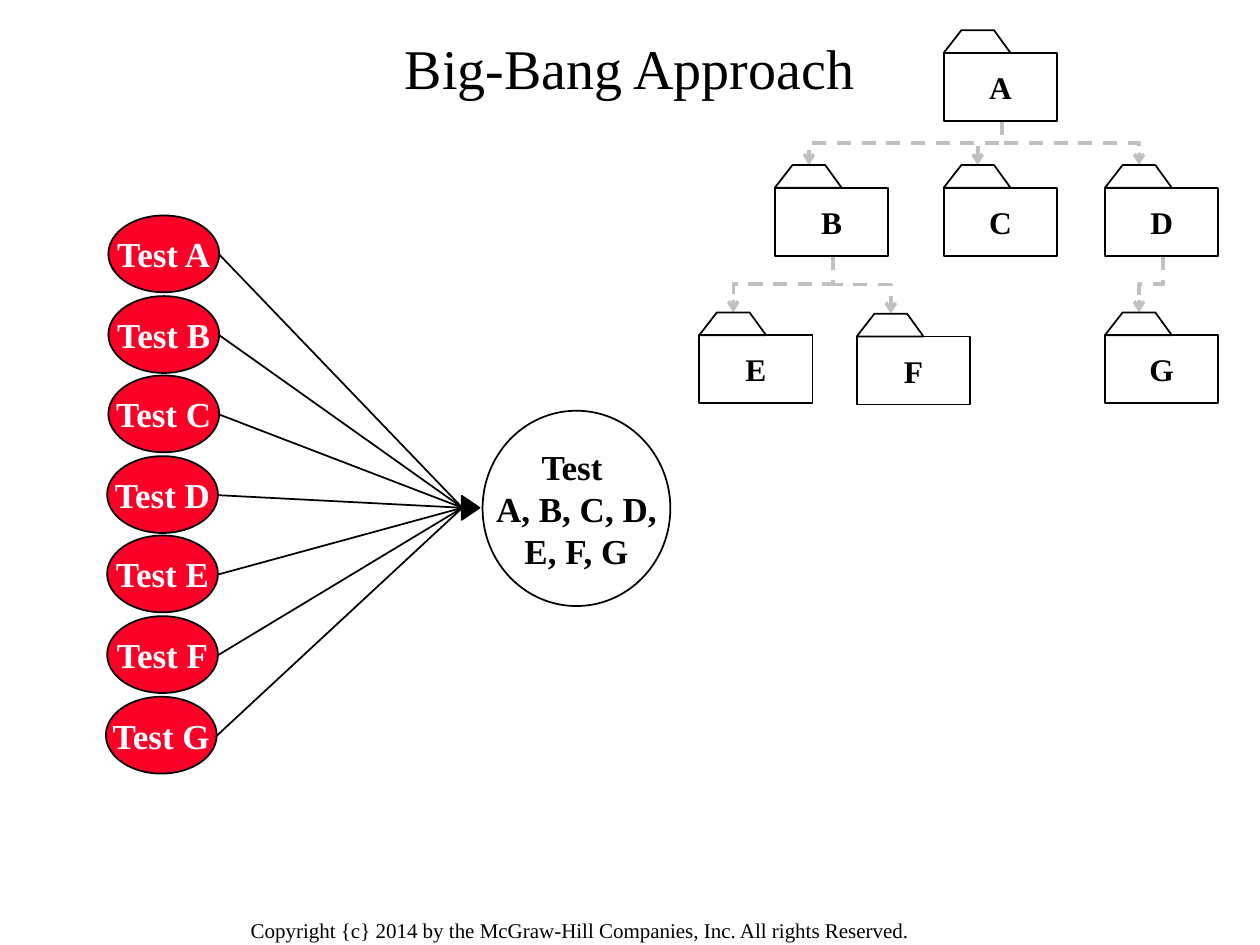
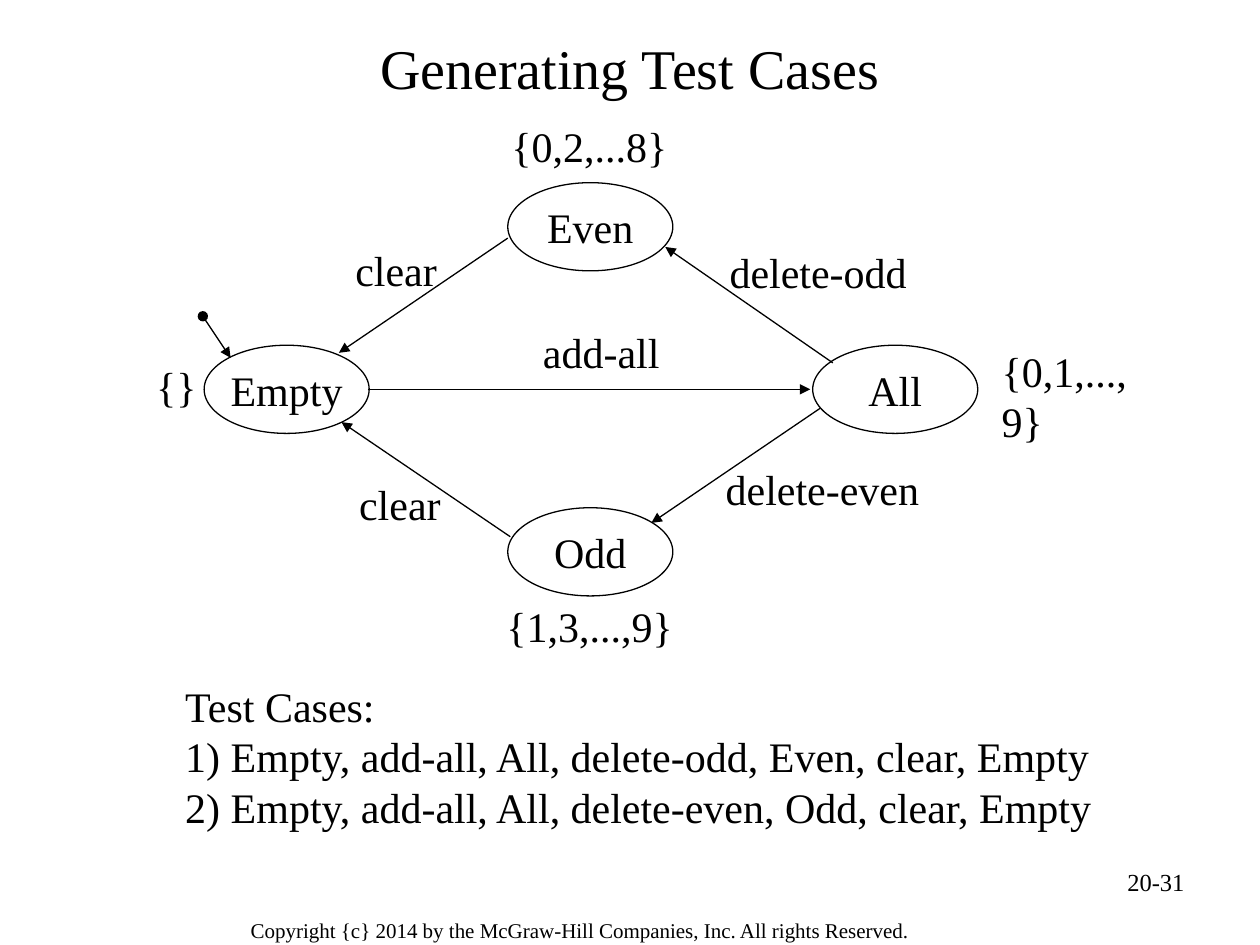
from lxml.etree import SubElement
from pptx import Presentation
from pptx.dml.color import RGBColor
from pptx.enum.dml import MSO_LINE
from pptx.enum.shapes import MSO_CONNECTOR as Link, MSO_SHAPE as Shape
from pptx.enum.text import MSO_ANCHOR as Anchor, PP_ALIGN as Align
from pptx.oxml.ns import qn
from pptx.util import Emu, Pt

PX = 9144
FONT = "Times New Roman"
BLACK = RGBColor(0x00, 0x00, 0x00)
WHITE = RGBColor(0xFF, 0xFF, 0xFF)
RED = RGBColor(0xFC, 0x01, 0x28)
SILVER = RGBColor(0xC0, 0xC0, 0xC0)
COPYRIGHT = "Copyright {c} 2014 by the McGraw-Hill Companies, Inc. All rights Reserved."


def px(*lengths):
    return [Emu(round(length * PX)) for length in lengths]


class Board:
    def __init__(self, deck):
        self.deck = deck
        self.page = None

    def new_page(self, title):
        self.page = self.deck.slides.add_slide(self.deck.slide_layouts[6])
        self.text(COPYRIGHT, 188, 722, 619, 31, size=12, inset=(11, 6))
        self.text(title, 50, 14, 900, 78, size=32, align=Align.CENTER,
                  anchor=Anchor.MIDDLE, inset=(10, 5))

    def fill_text(self, box, text, size, color=BLACK, bold=False, align=Align.LEFT,
                  anchor=Anchor.TOP, inset=(0, 0), wrap=False):
        frame = box.text_frame
        frame.text = text
        frame.word_wrap = wrap
        frame.vertical_anchor = anchor
        frame.margin_left, frame.margin_top = px(*inset)
        frame.margin_right, frame.margin_bottom = px(*inset)
        for para in frame.paragraphs:
            para.alignment = align
            for span in para.runs:
                span.font.name = FONT
                span.font.size = Pt(size)
                span.font.bold = bold
                span.font.color.rgb = color

    def text(self, text, left, top, width, height, size=24, **style):
        box = self.page.shapes.add_textbox(*px(left, top, width, height))
        self.fill_text(box, text, size, wrap="inset" in style, **style)

    def paint(self, shape, fill, weight):
        shape.shadow.inherit = False
        if fill is None:
            shape.fill.background()
        else:
            shape.fill.solid()
            shape.fill.fore_color.rgb = fill
        shape.line.color.rgb = BLACK
        shape.line.width = Pt(weight)

    def shape(self, kind, left, top, width, height, text="", fill=None, weight=1,
              size=20, color=BLACK, bold=True):
        shape = self.page.shapes.add_shape(kind, *px(left, top, width, height))
        self.paint(shape, fill, weight)
        if text:
            self.fill_text(shape, text, size, color, bold, Align.CENTER,
                           Anchor.MIDDLE, (10, 5))
        return shape

    def folder(self, name, left, top):
        self.shape(Shape.RECTANGLE, left, top, 90, 54, name, size=18)
        outline = self.page.shapes.build_freeform(left, top, scale=PX)
        outline.add_line_segments(
            [(left + 14, top - 18), (left + 40, top - 18), (left + 53, top)])
        self.paint(outline.convert_to_shape(), None, 1)

    def line(self, start, end, weight=1, color=BLACK, head=None, tail=None,
             kind=Link.STRAIGHT, dash=None):
        link = self.page.shapes.add_connector(kind, *px(*start, *end))
        link.line.color.rgb = color
        link.line.width = Pt(weight)
        if dash:
            link.line.dash_style = dash
        properties = link._element.spPr
        outline = properties.find(qn("a:ln"))
        for tag, tip in (("a:headEnd", head), ("a:tailEnd", tail)):
            if tip:
                SubElement(outline, qn(tag)).set("type", tip)
        SubElement(properties, qn("a:effectLst"))
        return link

    def branch(self, start, end):
        (x1, y1), (x2, y2) = start, end
        across, down = abs(x2 - x1), y2 - y1
        left = (x1 + x2 - down) / 2
        top = (y1 + y2 - across) / 2
        link = self.line((left, top), (left + down, top + across), 2, SILVER,
                         tail="arrow", kind=Link.ELBOW, dash=MSO_LINE.DASH)
        frame = link._element.spPr.find(qn("a:xfrm"))
        frame.set("rot", str((90 if x2 < x1 else 270) * 60000))
        if x2 > x1:
            frame.set("flipH", "1")


def big_bang(board):
    board.new_page("Big-Bang Approach")
    folders = {"A": (749, 42), "B": (615, 149), "C": (749, 149), "D": (877, 149),
               "E": (555, 266), "F": (680, 267), "G": (877, 266)}
    for parent, child in ("AB", "BE", "BF", "DG", "AC", "AD"):
        (x1, y1), (x2, y2) = folders[parent], folders[child]
        board.branch((x1 + 46, y1 + 54), (x2 + 27, y2 - 18))
    for name, place in folders.items():
        board.folder(name, *place)

    for row, name in enumerate(folders):
        left, top = 86 - row // 3, 171 + round(63.6 * row)
        board.shape(Shape.OVAL, left, top, 88, 61, f"Test {name}", RED, color=WHITE)
        board.line((left + 88, top + 31), (367, 403))
    board.shape(Shape.OVAL, 383, 326, 149, 155, "Test \nA, B, C, D,\nE, F, G")
    arrowhead = board.shape(Shape.ISOSCELES_TRIANGLE, 364, 396, 19, 14, fill=BLACK)
    arrowhead.rotation = 90


def test_cases(board):
    board.new_page("Generating Test Cases")
    board.text("20-31", 717, 683, 233, 52, size=14, align=Align.RIGHT, inset=(10, 5))
    board.text("Test Cases:\n"
               "1) Empty, add-all, All, delete-odd, Even, clear, Empty\n"
               "2) Empty, add-all, All, delete-even, Odd, clear, Empty",
               147, 540, 725, 120)
    for state, left, top in (("Empty", 162, 274), ("Odd", 403, 403),
                             ("Even", 403, 145), ("All", 645, 274)):
        board.shape(Shape.OVAL, left, top, 131, 70, state, weight=0.75,
                    size=24, bold=False)
    transitions = (((292, 309), (643, 309)), ((403, 189), (269, 280)),
                   ((405, 426), (271, 335)), ((661, 288), (528, 196)),
                   ((651, 324), (517, 415)))
    for start, end in transitions:
        board.line(start, end, 0.75, tail="triangle")
    board.line((161, 251), (183, 284), 0.75, head="oval", tail="triangle")
    labels = (("{}", 124, 286, 32), ("{0,1,..., 9}", 795, 274, 140),
              ("{1,3,...,9}", 402, 477, 132), ("{0,2,...8}", 406, 96, 124),
              ("delete-odd", 579, 196, 141), ("delete-even", 576, 368, 154),
              ("clear", 285, 380, 65), ("clear", 282, 194, 65),
              ("add-all", 431, 259, 93))
    for label, left, top, width in labels:
        board.text(label, left, top, width, 40)


def main():
    deck = Presentation()
    deck.slide_width, deck.slide_height = px(1000, 750)
    board = Board(deck)
    big_bang(board)
    test_cases(board)
    deck.save("out.pptx")


if __name__ == "__main__":
    main()
